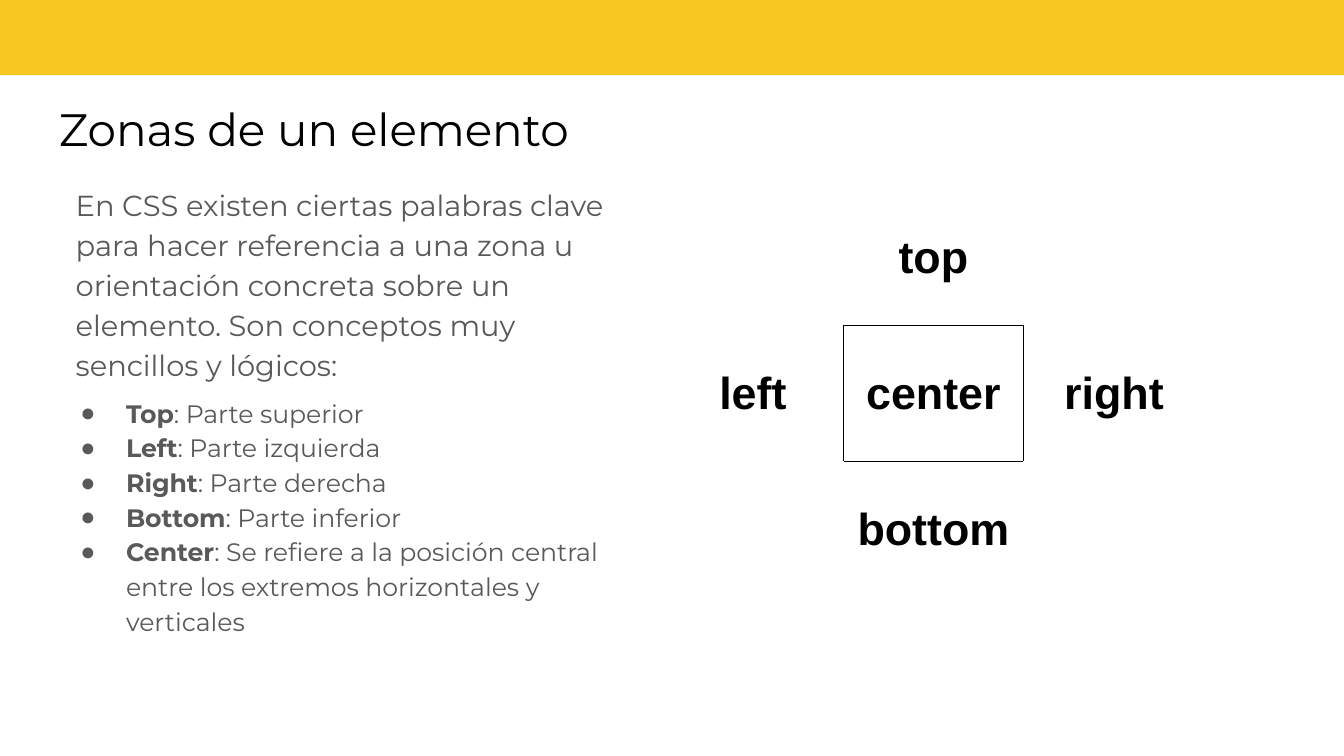
from typing import NamedTuple

from lxml.etree import SubElement
from pptx import Presentation
from pptx.dml.color import RGBColor
from pptx.enum.shapes import MSO_SHAPE
from pptx.enum.text import MSO_ANCHOR, PP_ALIGN
from pptx.oxml.ns import qn
from pptx.util import Inches, Pt

BLACK, GRAY, WHITE, YELLOW = "000000", "595959", "FFFFFF", "F8C823"
MARGIN = Inches(0.1)


class Keyword(NamedTuple):
    name: str
    meaning: str


class Zone(NamedTuple):
    name: str
    row: int
    column: int
    borders: str


KEYWORDS = [
    Keyword("Top", "Parte superior"),
    Keyword("Left", "Parte izquierda"),
    Keyword("Right", "Parte derecha"),
    Keyword("Bottom", "Parte inferior"),
    Keyword("Center", "Se refiere a la posición central entre los extremos "
                      "horizontales y verticales"),
]
# Borders are the sides shared with the central cell.
ZONES = [
    Zone("top", 0, 1, "B"),
    Zone("left", 1, 0, "R"),
    Zone("center", 1, 1, "LRTB"),
    Zone("right", 1, 2, "L"),
    Zone("bottom", 2, 1, "T"),
]


def color(value: str) -> RGBColor:
    return RGBColor.from_string(value)


def add_text(paragraph, text: str, *, size: float, ink: str,
             font: str = "Montserrat", bold: bool = False) -> None:
    run = paragraph.add_run()
    run.text = text
    run.font.size = Pt(size)
    run.font.name = font
    run.font.bold = bold
    run.font.color.rgb = color(ink)


def set_margins(holder) -> None:
    holder.margin_left = holder.margin_right = MARGIN
    holder.margin_top = holder.margin_bottom = MARGIN


def add_frame(slide, left: float, top: float, width: float, height: float):
    frame = slide.shapes.add_textbox(
        Inches(left), Inches(top), Inches(width), Inches(height)).text_frame
    frame.word_wrap = True
    frame.vertical_anchor = MSO_ANCHOR.TOP
    set_margins(frame)
    return frame


def indent(paragraph, left: float, first: float = 0) -> None:
    properties = paragraph._p.get_or_add_pPr()
    properties.set("marL", str(Inches(left)))
    properties.set("indent", str(Inches(first)))


def add_bullet(paragraph, ink: str) -> None:
    properties = paragraph._p.get_or_add_pPr()
    bullet_color = SubElement(properties, qn("a:buClr"))
    SubElement(bullet_color, qn("a:srgbClr"), val=ink)
    SubElement(properties, qn("a:buFont"), typeface="Arial")
    SubElement(properties, qn("a:buChar"), char="●")


def add_borders(cell, sides: str) -> None:
    properties = cell._tc.get_or_add_tcPr()
    for side in sides:
        line = SubElement(properties, qn(f"a:ln{side}"), w=str(Pt(0.75)))
        fill = SubElement(line, qn("a:solidFill"))
        SubElement(fill, qn("a:srgbClr"), val=BLACK)


def add_banner(slide) -> None:
    banner = slide.shapes.add_shape(
        MSO_SHAPE.RECTANGLE, Inches(-0.01), Inches(-0.05), Inches(10.03), Inches(0.61))
    banner.shadow.inherit = False
    banner.fill.solid()
    banner.fill.fore_color.rgb = color(YELLOW)
    banner.line.fill.background()


def add_explanation(slide) -> None:
    frame = add_frame(slide, 0.34, 1.26, 4.37, 3.74)
    intro = frame.paragraphs[0]
    intro.line_spacing = 1.15
    indent(intro, 1 / 8)
    add_text(intro, "En CSS existen ciertas palabras clave para hacer referencia "
                    "a una zona u orientación concreta sobre un elemento. "
                    "Son conceptos muy sencillos y lógicos:", size=15.5, ink=GRAY)
    for index, keyword in enumerate(KEYWORDS):
        item = frame.add_paragraph()
        item.line_spacing = 1.15
        item.space_before = Pt(0 if index else 6)
        indent(item, 0.5, -0.34)
        add_bullet(item, GRAY)
        add_text(item, keyword.name, size=13.5, ink=GRAY, bold=True)
        add_text(item, f": {keyword.meaning}", size=13.5, ink=GRAY)


def add_zone_table(slide) -> None:
    table = slide.shapes.add_table(
        3, 3, Inches(4.93), Inches(1.41), Inches(4.03), Inches(3.04)).table
    table.first_row = table.horz_banding = False
    for zone in ZONES:
        cell = table.cell(zone.row, zone.column)
        add_borders(cell, zone.borders)
        cell.vertical_anchor = MSO_ANCHOR.MIDDLE
        set_margins(cell)
        label = cell.text_frame.paragraphs[0]
        label.alignment = PP_ALIGN.CENTER
        add_text(label, zone.name, size=24, ink=BLACK, font="Arial", bold=True)
    for cell in table.iter_cells():
        cell.fill.background()
    center = table.cell(1, 1)
    center.fill.solid()
    center.fill.fore_color.rgb = color(WHITE)


def main() -> None:
    presentation = Presentation()
    presentation.slide_width = Inches(10)
    presentation.slide_height = Inches(10 * 9 / 16)
    slide = presentation.slides.add_slide(presentation.slide_layouts[6])
    add_banner(slide)
    title = add_frame(slide, 0.34, 0.65, 9.32, 0.63)
    add_text(title.paragraphs[0], "Zonas de un elemento", size=24.3, ink=BLACK)
    add_explanation(slide)
    add_zone_table(slide)
    presentation.save("out.pptx")


if __name__ == "__main__":
    main()
